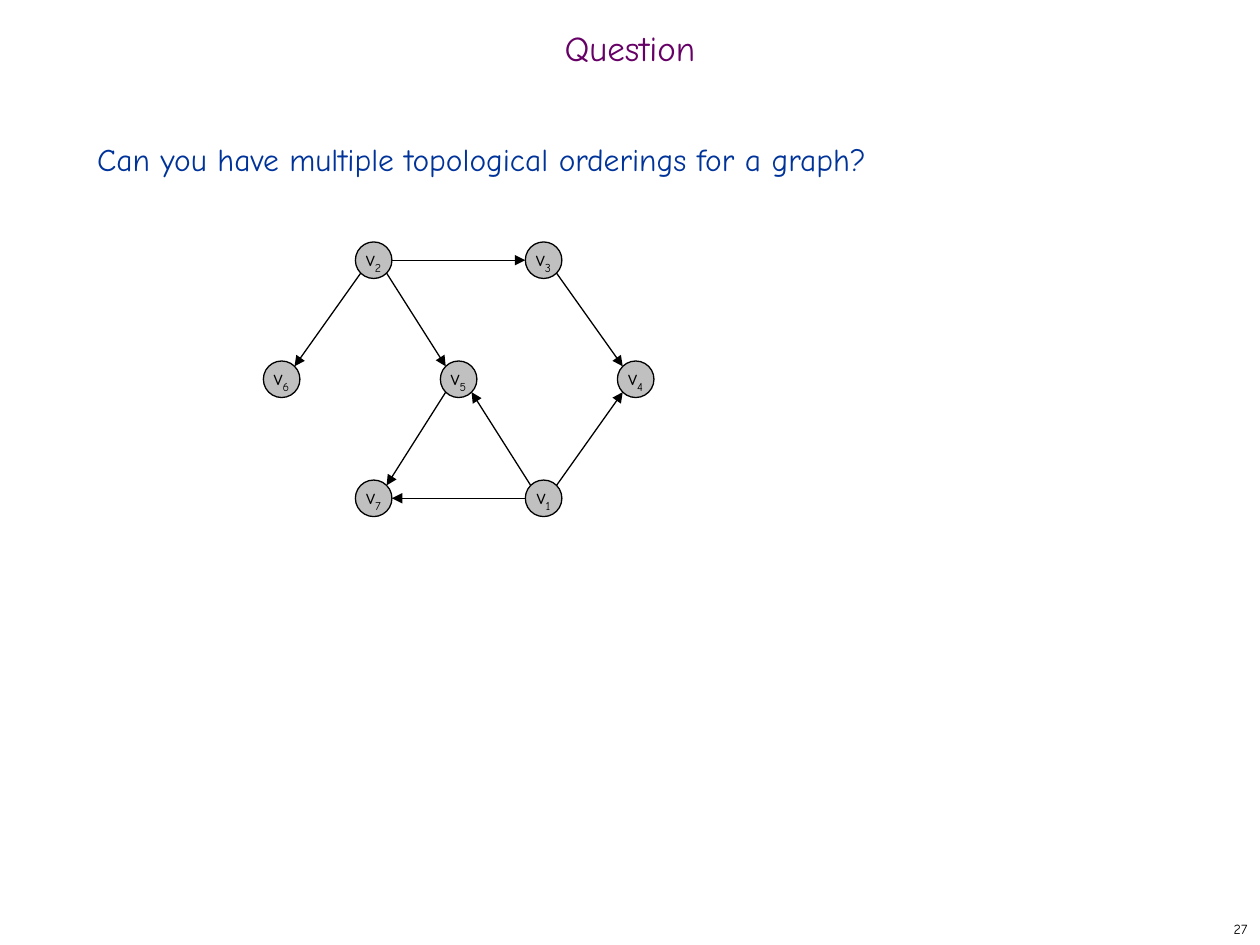
from pptx import Presentation
from pptx.dml.color import RGBColor
from pptx.enum.shapes import MSO_CONNECTOR, MSO_SHAPE
from pptx.enum.text import MSO_ANCHOR, MSO_AUTO_SIZE, PP_ALIGN
from pptx.oxml.ns import qn
from pptx.util import Inches, Pt
from lxml.etree import SubElement

FONT = "Comic Neue"
BLACK, GREY = "000000", "C0C0C0"
SIZE = 0.29  # node diameter
# Node number: share of the box width and height
NODES = {2: (0.26, 0), 3: (0.74, 0), 6: (0, 0.5), 5: (0.5, 0.5),
         4: (1, 0.5), 7: (0.26, 1), 1: (0.74, 1)}
EDGES = [(2, 6), (2, 5), (2, 3), (3, 4), (1, 4), (5, 7), (1, 5), (1, 7)]


def color(code):
    return RGBColor.from_string(code)


def place(shape, box):
    shape.left, shape.top, shape.width, shape.height = map(Inches, box)


def style(para, size, code, align):
    para.alignment = align
    for run in para.runs:
        run.font.name = FONT
        run.font.size = Pt(size)
        run.font.color.rgb = color(code)


def add_title(slide, box):
    title = slide.shapes.title
    place(title, box)
    frame = title.text_frame
    frame.text = "Question"
    frame.auto_size = MSO_AUTO_SIZE.NONE
    frame.vertical_anchor = MSO_ANCHOR.MIDDLE
    para = frame.paragraphs[0]
    para.line_spacing = 0.7
    style(para, 20, "660066", PP_ALIGN.CENTER)


def add_body(slide, box):
    body = slide.placeholders[1]
    place(body, box)
    frame = body.text_frame
    frame.text = "Can you have multiple topological orderings for a graph?"
    frame.auto_size = MSO_AUTO_SIZE.NONE
    para = frame.paragraphs[0]
    para.line_spacing = Pt(26)
    para.space_before = Pt(0)
    # Hanging indent without a bullet
    props = para._p.get_or_add_pPr()
    props.set("marL", str(Inches(0.38)))
    props.set("indent", str(Inches(-0.38)))
    SubElement(props, qn("a:buNone"))
    style(para, 18, "003399", PP_ALIGN.LEFT)


def add_number(slide, box):
    label = slide.shapes.add_textbox(*map(Inches, box))
    frame = label.text_frame
    frame.text = "27"
    frame.word_wrap = True
    frame.vertical_anchor = MSO_ANCHOR.MIDDLE
    style(frame.paragraphs[0], 8, BLACK, PP_ALIGN.RIGHT)


def add_node(slide, num, x, y):
    half = SIZE / 2
    node = slide.shapes.add_shape(
        MSO_SHAPE.OVAL, *map(Inches, (x - half, y - half, SIZE, SIZE)))
    node.shadow.inherit = False
    node.fill.solid()
    node.fill.fore_color.rgb = color(GREY)
    node.line.color.rgb = color(BLACK)
    node.line.width = Pt(0.75)
    frame = node.text_frame
    frame.word_wrap = False
    frame.vertical_anchor = MSO_ANCHOR.MIDDLE
    para = frame.paragraphs[0]
    para.add_run().text = "v"
    sub = para.add_run()
    sub.text = str(num)
    style(para, 12, BLACK, PP_ALIGN.CENTER)
    sub.font._element.set("baseline", "-25000")


def add_edge(slide, start, end):
    # Leave a node at its side when level, else at its diagonal point
    (x1, y1), (x2, y2) = start, end
    level = y1 == y2
    dx = SIZE / 2 if level else SIZE / 2 * 0.5 ** 0.5
    dy = 0 if level else dx
    dx = dx if x2 > x1 else -dx
    dy = dy if y2 > y1 else -dy
    ends = (x1 + dx, y1 + dy, x2 - dx, y2 - dy)
    edge = slide.shapes.add_connector(
        MSO_CONNECTOR.STRAIGHT, *map(Inches, ends))
    edge.line.color.rgb = color(BLACK)
    edge.line.width = Pt(0.75)
    SubElement(edge.line._get_or_add_ln(), qn("a:tailEnd"), type="triangle")
    SubElement(edge._element.spPr, qn("a:effectLst"))


def add_graph(slide, box):
    left, top, width, height = box
    half = SIZE / 2
    spots = {num: (left + half + fx * (width - SIZE),
                   top + half + fy * (height - SIZE))
             for num, (fx, fy) in NODES.items()}
    for num, (x, y) in spots.items():
        add_node(slide, num, x, y)
    for start, end in EDGES:
        add_edge(slide, spots[start], spots[end])


def main():
    deck = Presentation()
    deck.slide_width, deck.slide_height = Inches(10), Inches(7.5)
    slide = deck.slides.add_slide(deck.slide_layouts[1])
    add_title(slide, (0, 0.17, 10, 0.5))
    add_body(slide, (0.67, 1, 8.58, 5.92))
    add_number(slide, (7.92, 7.25, 2.08, 0.25))
    add_graph(slide, (2.09, 1.92, 3.1, 2.18))
    deck.save("out.pptx")


if __name__ == "__main__":
    main()
